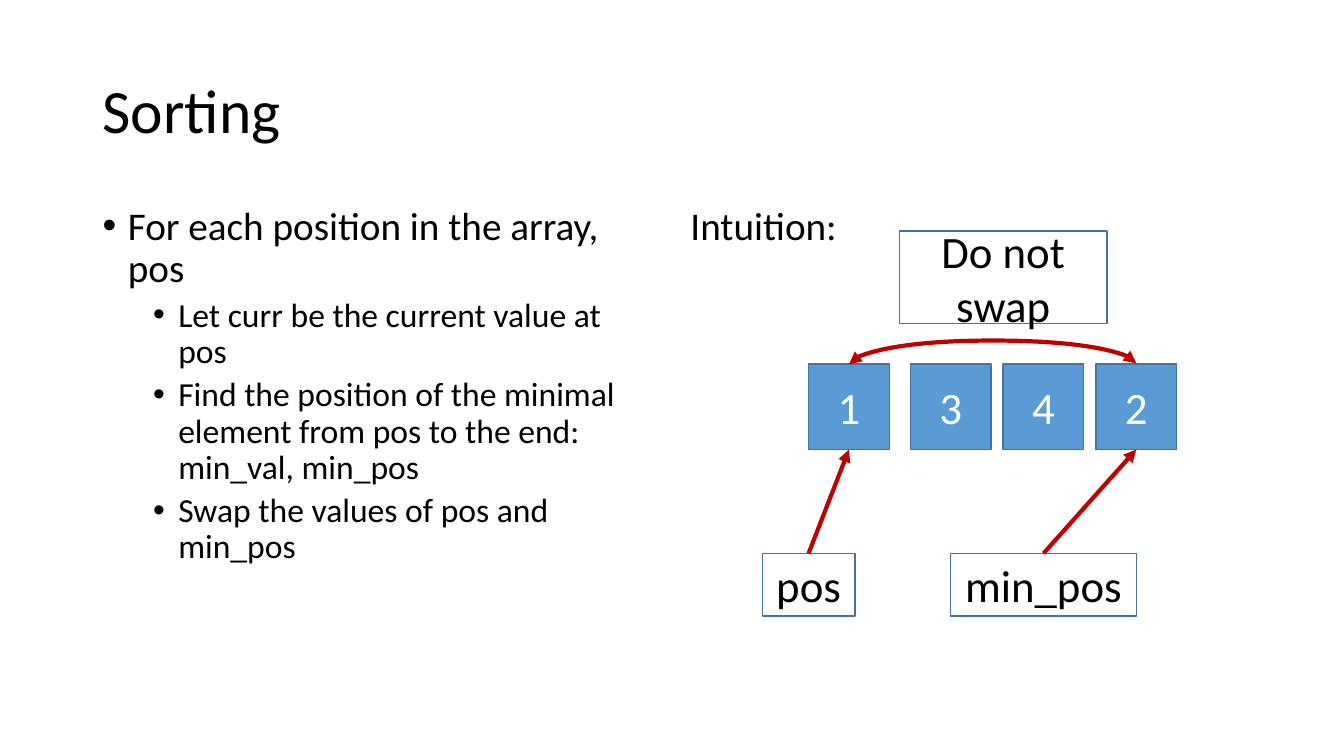
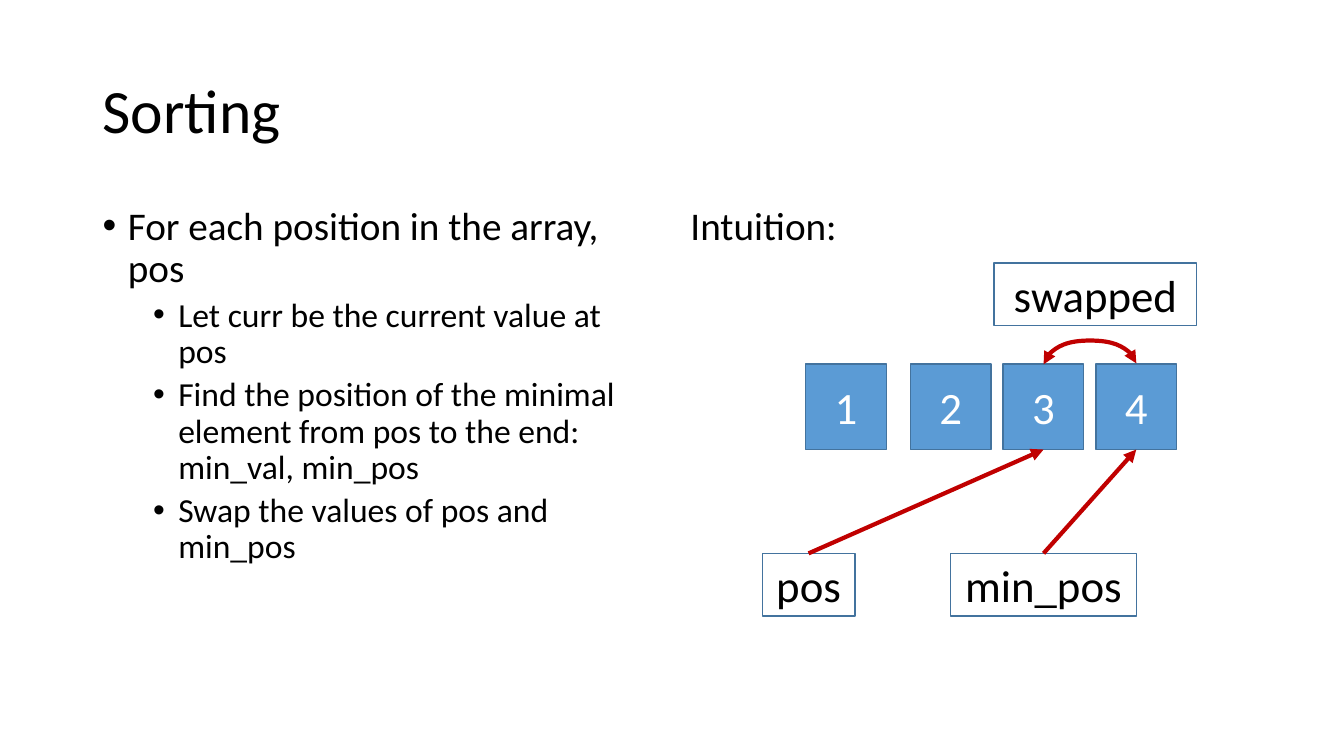
from lxml import etree
from pptx import Presentation
from pptx.dml.color import RGBColor
from pptx.enum.shapes import MSO_CONNECTOR, MSO_SHAPE
from pptx.enum.text import MSO_ANCHOR, PP_ALIGN
from pptx.oxml.ns import qn
from pptx.util import Inches, Pt

# Content
TITLE = "Sorting"
STEPS = [
    (0, "For each position in the array, pos"),
    (1, "Let curr be the current value at pos"),
    (1, "Find the position of the minimal element from pos to the end: min_val, min_pos"),
    (1, "Swap the values of pos and min_pos"),
]
INTUITION = [(None, "Intuition:")]
# Pointers: text, left, width
POINTERS = [("pos", 7.56, 0.92), ("min_pos", 9.43, 1.84)]
# Targets: the cells that pos and min_pos point at; note: text, left, top, width, height
SLIDES = [
    {"values": [1, 3, 4, 2], "first_left": 8.02, "targets": (0, 3),
     "note": ("Do not swap", 8.92, 2.29, 2.06, 0.92)},
    {"values": [1, 2, 3, 4], "first_left": 7.99, "targets": (2, 3),
     "note": ("swapped", 9.86, 2.61, 2.01, 0.62)},
]

# Shared style
FONT = "Calibri"
BLACK = RGBColor(0x00, 0x00, 0x00)
WHITE = RGBColor(0xFF, 0xFF, 0xFF)
BLUE = RGBColor(0x5B, 0x9B, 0xD5)
DARK_BLUE = RGBColor(0x43, 0x73, 0x9E)
RED = RGBColor(0xC0, 0x00, 0x00)
# Level: size, left margin, space before
LEVELS = {None: (28, 0, 10), 0: (28, 0.25, 10), 1: (24, 0.75, 5)}
CELL_TOP, CELL_WIDTH, CELL_HEIGHT = 3.61, 0.8, 0.85
SECOND_LEFT, CELL_STEP = 9.03, 0.92
POINTER_TOP, POINTER_HEIGHT = 5.49, 0.62
ARC_RISE, ARC_DEPTH = 0.24, 0.01
TOP_SITE, BOTTOM_SITE = 0, 2


def set_font(paragraph, size, color):
    font = paragraph.font
    font.name, font.size = FONT, Pt(size)
    font.color.rgb = color


def add_text(page, left, top, width, height):
    box = page.shapes.add_textbox(Inches(left), Inches(top), Inches(width), Inches(height))
    box.text_frame.word_wrap = True
    return box.text_frame


def add_title(page):
    frame = add_text(page, 0.92, 0.4, 11.5, 1.45)
    frame.vertical_anchor = MSO_ANCHOR.MIDDLE
    paragraph = frame.paragraphs[0]
    paragraph.text, paragraph.line_spacing = TITLE, 0.9
    set_font(paragraph, 44, BLACK)


def add_body(page, left, items):
    frame = add_text(page, left, 2, 5.67, 4.76)
    for index, (level, text) in enumerate(items):
        paragraph = frame.add_paragraph() if index else frame.paragraphs[0]
        size, margin, space = LEVELS[level]
        paragraph.text, paragraph.line_spacing = text, 0.9
        if index:
            paragraph.space_before = Pt(space)
        if level is not None:
            paragraph.level = level
            properties = paragraph._p.get_or_add_pPr()
            properties.set("marL", str(Inches(margin)))
            properties.set("indent", str(Inches(-0.25)))
            etree.SubElement(properties, qn("a:buFont")).set("typeface", "Arial")
            etree.SubElement(properties, qn("a:buChar")).set("char", "•")
        set_font(paragraph, size, BLACK)


def add_box(page, text, left, top, width, height, fill=WHITE, color=BLACK):
    box = page.shapes.add_shape(
        MSO_SHAPE.RECTANGLE, Inches(left), Inches(top), Inches(width), Inches(height))
    box.shadow.inherit = False
    box.fill.solid()
    box.fill.fore_color.rgb = fill
    box.line.color.rgb, box.line.width = DARK_BLUE, Pt(1)
    box.text_frame.vertical_anchor = MSO_ANCHOR.MIDDLE
    paragraph = box.text_frame.paragraphs[0]
    paragraph.text, paragraph.alignment = str(text), PP_ALIGN.CENTER
    set_font(paragraph, 32, color)
    return box


def add_arrow(page, kind, start, end, end_site, heads):
    arrow = page.shapes.add_connector(kind, 0, 0, 0, 0)
    arrow.begin_connect(start, TOP_SITE)
    arrow.end_connect(end, end_site)
    arrow.line.color.rgb, arrow.line.width = RED, Pt(3)
    line = arrow.line._get_or_add_ln()
    for head in heads:
        etree.SubElement(line, qn(head)).set("type", "triangle")
    etree.SubElement(arrow._element.spPr, qn("a:effectLst"))
    return arrow


def add_swap_arc(page, start, end):
    arc = add_arrow(page, MSO_CONNECTOR.CURVE, start, end, TOP_SITE,
                    ("a:headEnd", "a:tailEnd"))
    # A thin, tall S-curve turned a quarter; its adjustment lifts it into an arc
    depth, span = Inches(ARC_DEPTH), end.left - start.left
    middle = start.left + start.width // 2 + span // 2
    arc.left, arc.top = middle - depth // 2, start.top - span // 2
    arc.width, arc.height = depth, span
    transform = arc._element.spPr.find(qn("a:xfrm"))
    for name, value in (("rot", "5400000"), ("flipH", "1"), ("flipV", "1")):
        transform.set(name, value)
    guides = arc._element.spPr.find(qn("a:prstGeom")).find(qn("a:avLst"))
    guide = etree.SubElement(guides, qn("a:gd"))
    guide.set("name", "adj1")
    guide.set("fmla", f"val {round(ARC_RISE / ARC_DEPTH * 100000)}")


def add_sorting_slide(deck, content):
    page = deck.slides.add_slide(deck.slide_layouts[6])
    add_title(page)
    add_body(page, 0.92, STEPS)
    add_body(page, 6.75, INTUITION)

    # Array cells
    lefts = [content["first_left"]] + [SECOND_LEFT + CELL_STEP * i for i in range(3)]
    cells = [add_box(page, value, left, CELL_TOP, CELL_WIDTH, CELL_HEIGHT, BLUE, WHITE)
             for value, left in zip(content["values"], lefts)]

    # Pointers to the two cells
    targets = [cells[index] for index in content["targets"]]
    for (text, left, width), target in zip(POINTERS, targets):
        pointer = add_box(page, text, left, POINTER_TOP, width, POINTER_HEIGHT)
        add_arrow(page, MSO_CONNECTOR.STRAIGHT, pointer, target, BOTTOM_SITE, ("a:tailEnd",))

    # Swap arc and its note
    add_swap_arc(page, *targets)
    add_box(page, *content["note"])


def main():
    deck = Presentation()
    deck.slide_width, deck.slide_height = Inches(13.33), Inches(7.5)
    for content in SLIDES:
        add_sorting_slide(deck, content)
    deck.save("out.pptx")


if __name__ == "__main__":
    main()
